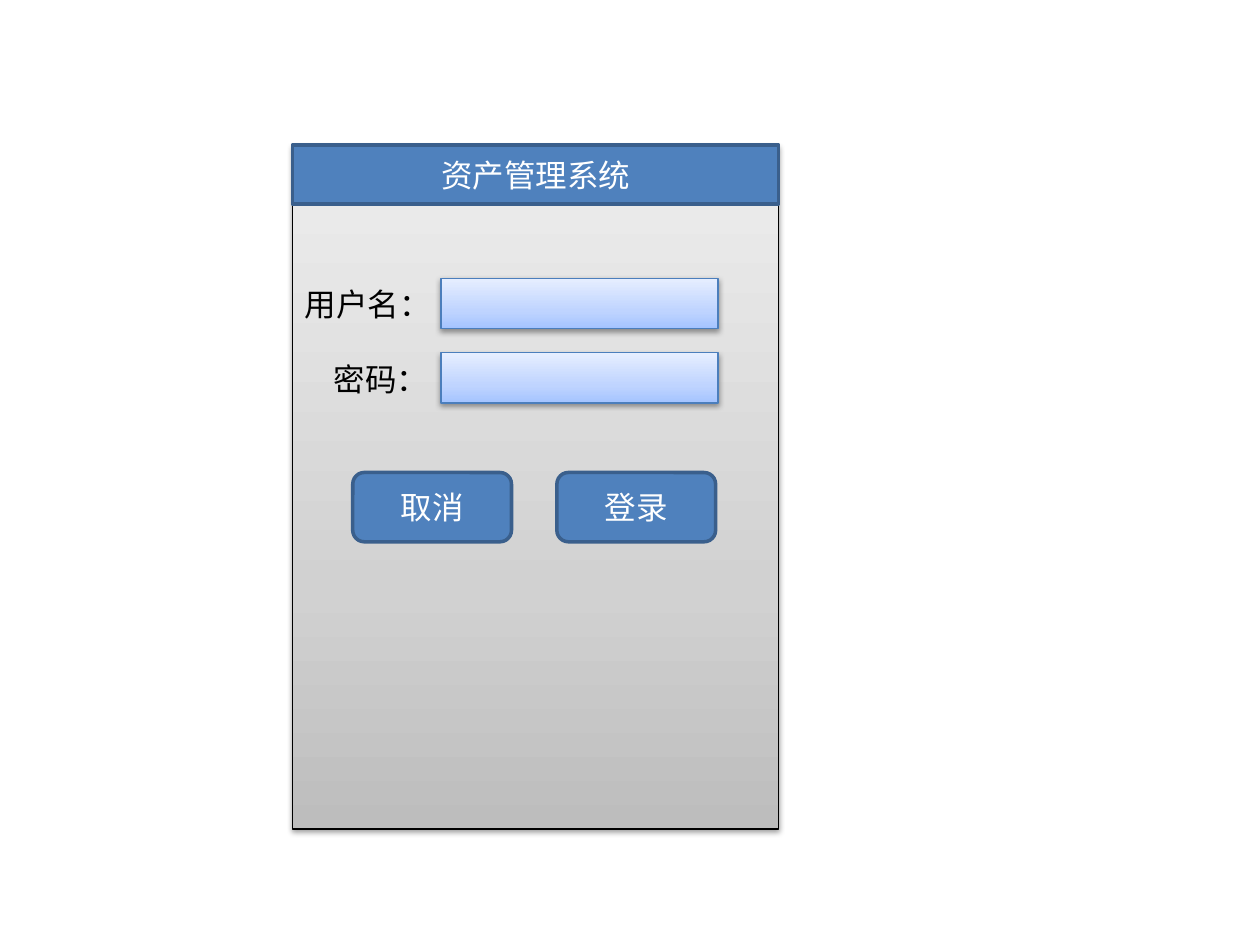
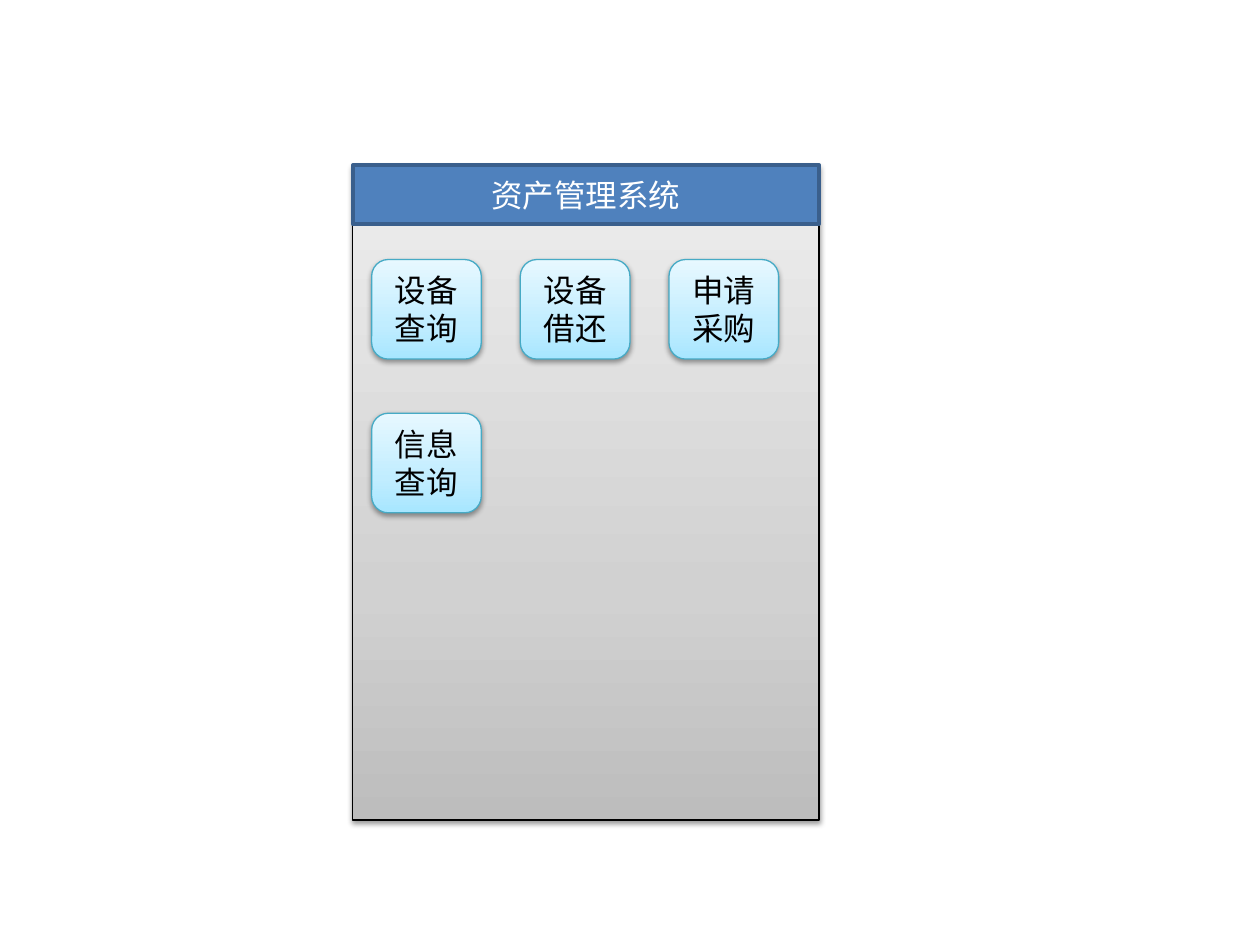
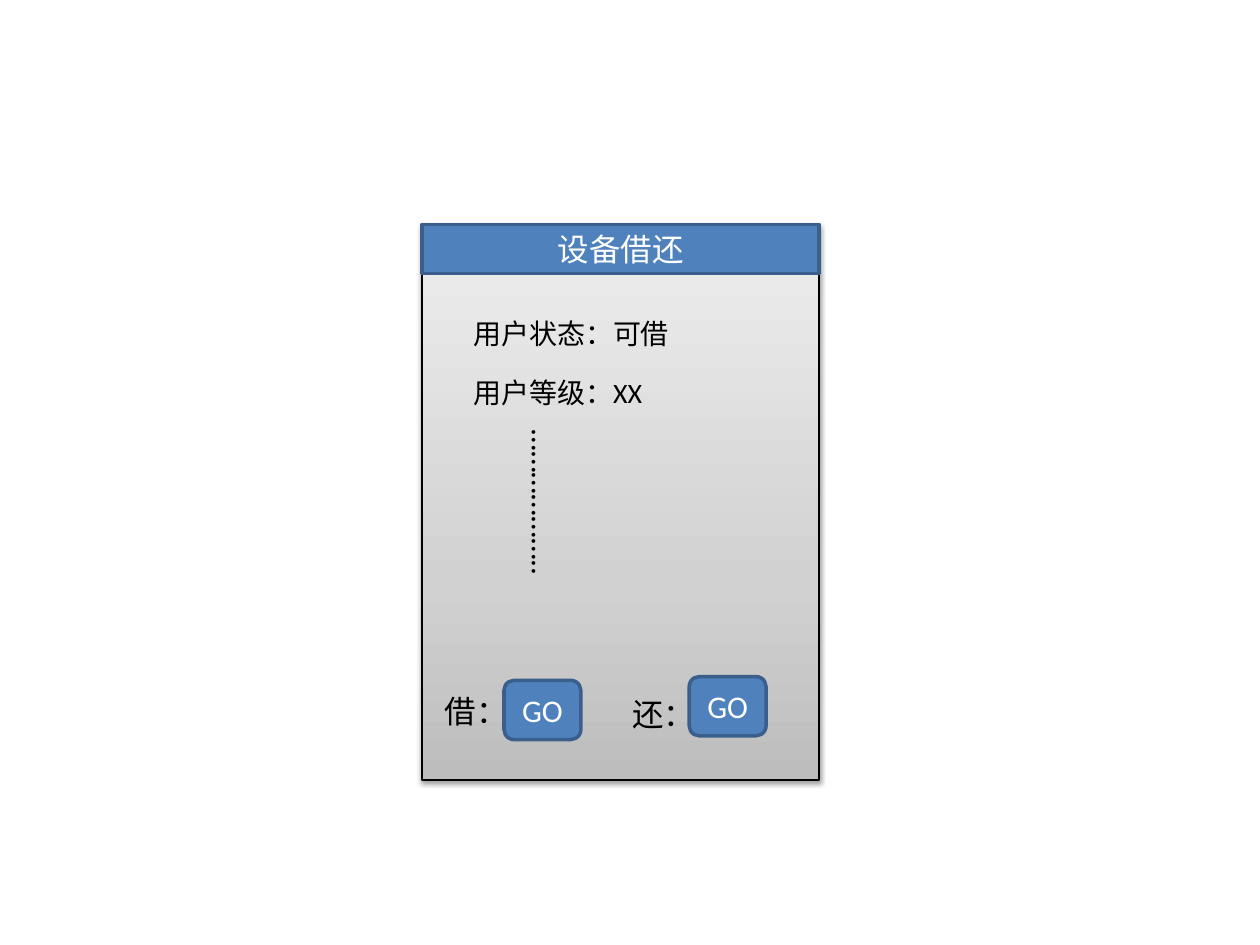
"""Build three wireframes of an asset management app: login, menu and lending."""
from copy import deepcopy

from lxml.etree import SubElement
from pptx import Presentation
from pptx.dml.color import RGBColor
from pptx.enum.shapes import MSO_SHAPE
from pptx.enum.text import MSO_ANCHOR, MSO_AUTO_SIZE, PP_ALIGN
from pptx.oxml.ns import qn
from pptx.util import Inches, Pt

FONT = "Calibri"
BLACK = RGBColor(0x00, 0x00, 0x00)
WHITE = RGBColor(0xFF, 0xFF, 0xFF)
BLUE = RGBColor(0x4F, 0x81, 0xBD)
BLUE_EDGE = RGBColor(0x3A, 0x5F, 0x8C)
FIELD_EDGE = RGBColor(0x4B, 0x7E, 0xBC)
TILE_EDGE = RGBColor(0x46, 0xAA, 0xC5)
GREYS = [RGBColor(0xBD, 0xBD, 0xBD), RGBColor(0xD1, 0xD1, 0xD1), RGBColor(0xEE, 0xEE, 0xEE)]
FIELD_BLUES = [RGBColor(0xA4, 0xC4, 0xFF), RGBColor(0xBF, 0xD4, 0xFF), RGBColor(0xE6, 0xEE, 0xFF)]
TILE_BLUES = [RGBColor(0xA7, 0xE6, 0xFF), RGBColor(0xC1, 0xED, 0xFF), RGBColor(0xE7, 0xF8, 0xFF)]


def paint(shape, colours, edge, edge_width):
    shape.line.color.rgb = edge
    shape.line.width = Pt(edge_width)
    shape.shadow.inherit = False
    if len(colours) == 1:
        shape.fill.solid()
        shape.fill.fore_color.rgb = colours[0]
        return
    shape.fill.gradient()
    shape.fill.gradient_angle = 90
    properties = shape._element.spPr
    stops = properties.find(".//" + qn("a:gsLst"))
    stops.insert(1, deepcopy(stops[0]))
    for stop, position, colour in zip(shape.fill.gradient_stops, (0, 0.35, 1), colours):
        stop.position = position
        stop.color.rgb = colour
    shadow = SubElement(properties.find(qn("a:effectLst")), qn("a:outerShdw"),
                        blurRad="40000", dist="20000", dir="5400000", rotWithShape="0")
    shade = SubElement(shadow, qn("a:srgbClr"), val="000000")
    SubElement(shade, qn("a:alpha"), val="38000")


def write(shape, words, colour=BLACK, size=18, align=PP_ALIGN.CENTER, anchor=MSO_ANCHOR.MIDDLE):
    frame = shape.text_frame
    frame.word_wrap = True
    frame.auto_size = MSO_AUTO_SIZE.NONE
    frame.vertical_anchor = anchor
    paragraph = frame.paragraphs[0]
    paragraph.alignment = align
    run = paragraph.add_run()
    run.text = words
    run.font.name = FONT
    run.font.size = Pt(size)
    run.font.color.rgb = colour


deck = Presentation()
deck.slide_width = Inches(10)
deck.slide_height = Inches(7.5)

screens = []
for heading, left, top, width, height, bar_height in [
    ("资产管理系统", 2.32, 1.15, 3.86, 5.43, 0.47),
    ("资产管理系统", 2.8, 1.31, 3.7, 5.2, 0.47),
    ("设备借还", 3.35, 1.78, 3.15, 4.41, 0.39),
]:
    shapes = deck.slides.add_slide(deck.slide_layouts[5]).shapes
    panel = shapes.add_shape(MSO_SHAPE.RECTANGLE, Inches(left), Inches(top), Inches(width), Inches(height))
    paint(panel, GREYS, BLACK, 0.75)
    bar = shapes.title
    bar.left, bar.top, bar.width, bar.height = Inches(left), Inches(top), Inches(width), Inches(bar_height)
    paint(bar, [BLUE], BLUE_EDGE, 2)
    write(bar, heading, WHITE)
    panel._element.addnext(bar._element)
    screens.append(shapes)
login, menu, lending = screens

for top in (2.21, 2.8):
    field = login.add_shape(MSO_SHAPE.RECTANGLE, Inches(3.5), Inches(top), Inches(2.2), Inches(0.4))
    paint(field, FIELD_BLUES, FIELD_EDGE, 0.75)

for shapes, words, left, top, width, height in [
    (login, "取消", 2.8, 3.75, 1.26, 0.55),
    (login, "登录", 4.42, 3.75, 1.26, 0.55),
    (lending, "GO", 4, 5.4, 0.61, 0.47),
    (lending, "GO", 5.47, 5.37, 0.61, 0.47),
]:
    button = shapes.add_shape(MSO_SHAPE.ROUNDED_RECTANGLE, Inches(left), Inches(top), Inches(width), Inches(height))
    paint(button, [BLUE], BLUE_EDGE, 2)
    write(button, words, WHITE)

for index, words in enumerate(["设备查询", "设备借还", "申请采购", "信息查询"]):
    row, column = divmod(index, 3)
    tile = menu.add_shape(MSO_SHAPE.ROUNDED_RECTANGLE, Inches(2.95 + 1.18 * column),
                          Inches(2.06 + 1.22 * row), Inches(0.87), Inches(0.79))
    paint(tile, TILE_BLUES, TILE_EDGE, 0.75)
    write(tile, words)

for shapes, words, left, top, width, height, size, indent, direction in [
    (login, "用户名：", 2.32, 2.21, 1.18, 0.4, 18, 0.1, "horz"),
    (login, "密码：", 2.32, 2.81, 1.18, 0.4, 18, 0.33, "horz"),
    (lending, "用户状态：可借", 3.66, 2.46, 2.28, 0.37, 16, 0.1, "horz"),
    (lending, "用户等级：XX", 3.66, 2.93, 2.28, 0.37, 16, 0.1, "horz"),
    (lending, "………………..", 4.02, 3.31, 0.5, 1.7, 18, 0.1, "eaVert"),
    (lending, "借：", 3.43, 5.44, 0.6, 0.4, 18, 0.1, "horz"),
    (lending, "还：", 4.92, 5.47, 0.68, 0.4, 18, 0.1, "horz"),
]:
    label = shapes.add_textbox(Inches(left), Inches(top), Inches(width), Inches(height))
    write(label, words, size=size, align=PP_ALIGN.LEFT, anchor=MSO_ANCHOR.TOP)
    label.text_frame.margin_left = Inches(indent)
    label.text_frame._txBody.bodyPr.set("vert", direction)

deck.save("out.pptx")
